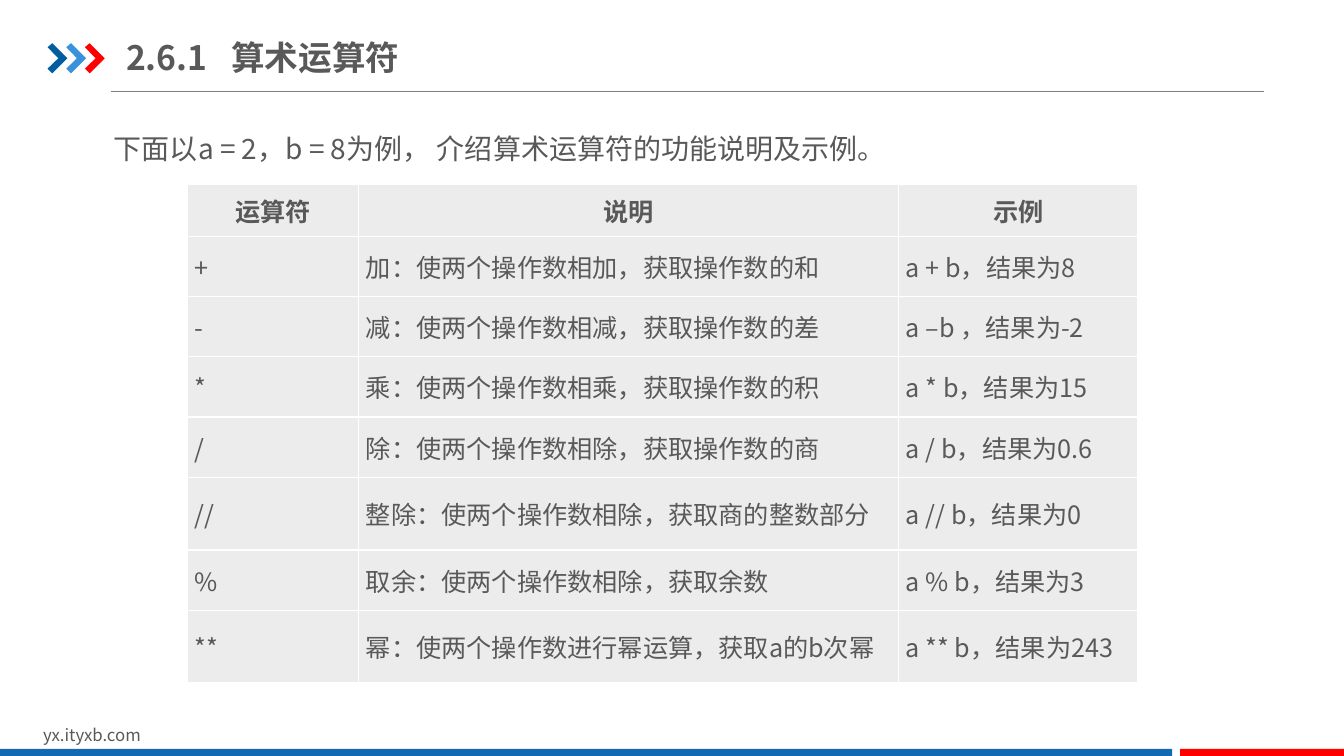
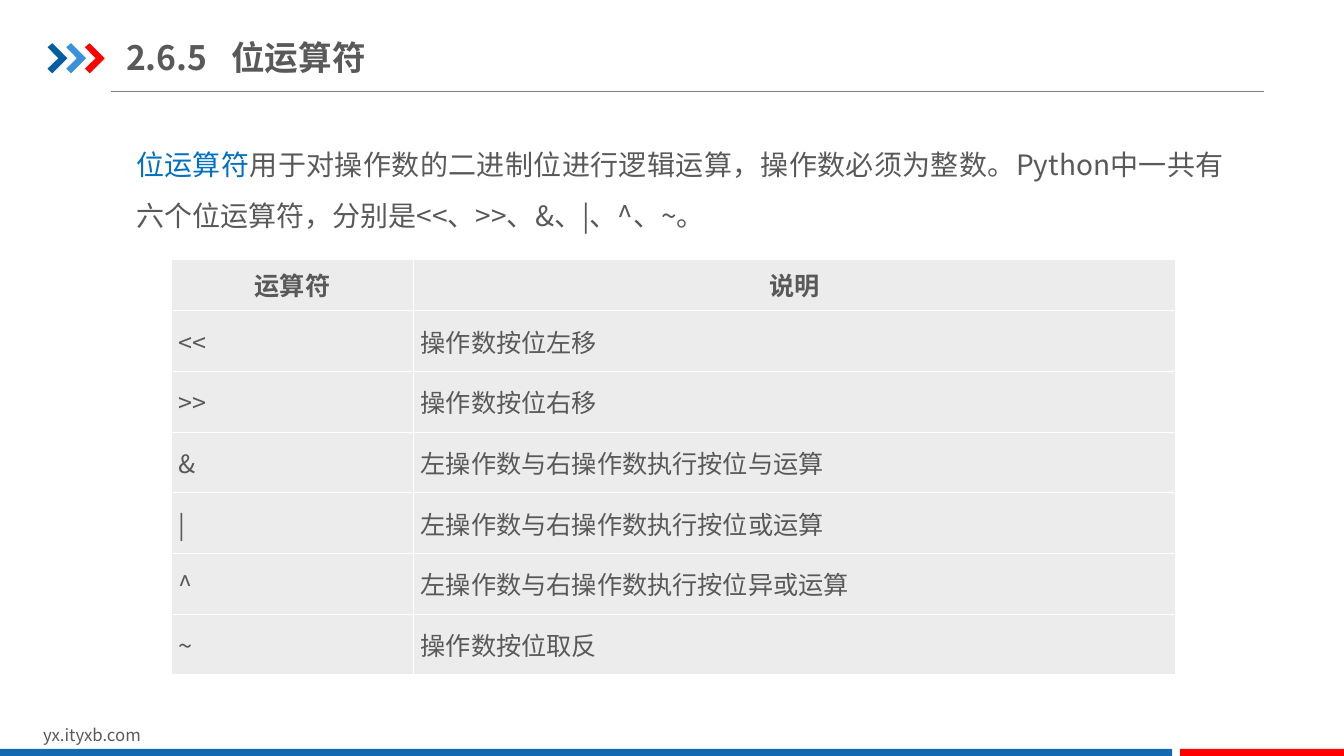
from lxml.etree import SubElement
from pptx import Presentation
from pptx.dml.color import RGBColor
from pptx.enum.shapes import MSO_CONNECTOR, MSO_SHAPE
from pptx.enum.text import MSO_ANCHOR as ANCHOR, PP_ALIGN as ALIGN
from pptx.oxml import parse_xml
from pptx.oxml.ns import nsdecls, qn
from pptx.util import Cm, Pt

# Shared look
hex_color = RGBColor.from_string
FONT = "Noto Sans CJK SC"
TEXT, HIGHLIGHT, RED = "595959", "0070C0", "FF0000"
CELL_FILL, CELL_BORDER = "ECECEC", "FFFFFF"
TITLE_FORMAT = {"size": Pt(24), "bold": True}
BODY_FORMAT = {"size": Pt(20)}
FOOTER_FORMAT = {"size": Pt(12)}
HEADER_FORMAT = {"size": Pt(18), "bold": True}
CELL_FORMAT = {"size": Pt(18), "bold": False}

CHEVRON_COLORS = ["005DA2", "3992DB", RED]
CHEVRON_POINTS = [(0, 0.1), (0.12, 0), (0.5, 0.38), (0.12, 0.76), (0, 0.64), (0.27, 0.38)]
CHEVRON_LEFT, CHEVRON_TOP, CHEVRON_PITCH = 1.2, 1.09, 0.47
BANDS = [(0, 29.54, "1369B2"), (29.74, 4.13, RED)]  # left, width, colour
BAND_TOP, BAND_HEIGHT = 18.87, 0.18

# Slide contents, lengths in centimetres
SLIDES = [
    {
        "title": "2.6.1\t算术运算符",
        "body_box": (2.54, 2.72, 29.13, 1.93),
        "body": [("下面以a = 2，b = 8为例， 介绍算术运算符的功能说明及示例。", TEXT)],
        "table_at": (4.72, 4.65),
        "columns": [4.32, 13.61, 6.02],
        "row_heights": [1.3, 1.52, 1.52, 1.52, 1.52, 1.83, 1.52, 1.83],
        "rows": [
            ("运算符", "说明", "示例"),
            ("+", "加：使两个操作数相加，获取操作数的和", "a + b，结果为8"),
            ("-", "减：使两个操作数相减，获取操作数的差", "a –b ，结果为-2"),
            ("*", "乘：使两个操作数相乘，获取操作数的积", "a * b，结果为15"),
            ("/", "除：使两个操作数相除，获取操作数的商", "a / b，结果为0.6"),
            ("//", "整除：使两个操作数相除，获取商的整数部分", "a // b，结果为0"),
            ("%", "取余：使两个操作数相除，获取余数", "a % b，结果为3"),
            ("**", "幂：使两个操作数进行幂运算，获取a的b次幂", "a ** b，结果为243"),
        ],
    },
    {
        "title": "2.6.5\t位运算符",
        "body_box": (3.1, 3.12, 28.07, 3.1),
        "body": [
            ("位运算符", HIGHLIGHT),
            ("用于对操作数的二进制位进行逻辑运算，操作数必须为整数。"
             "Python中一共有六个位运算符，分别是<<、>>、&、|、^、~。", TEXT),
        ],
        "table_at": (4.32, 6.53),
        "columns": [6.1, 19.2],
        "row_heights": [1.3] + [1.53] * 6,
        "rows": [
            ("运算符", "说明"),
            ("<<", "操作数按位左移"),
            (">>", "操作数按位右移"),
            ("&", "左操作数与右操作数执行按位与运算"),
            ("|", "左操作数与右操作数执行按位或运算"),
            ("^", "左操作数与右操作数执行按位异或运算"),
            ("~", "操作数按位取反"),
        ],
    },
]


def add_run(paragraph, text, font_format, color=TEXT):
    run = paragraph.add_run()
    run.text = text
    for name, value in {"name": FONT, **font_format}.items():
        setattr(run.font, name, value)
    run.font.color.rgb = hex_color(color)
    SubElement(run.font._element, qn("a:ea"), typeface=FONT)


def add_text_box(slide, box, frame_format):
    frame = slide.shapes.add_textbox(*map(Cm, box)).text_frame
    for name, value in {"word_wrap": True, **frame_format}.items():
        setattr(frame, name, value)
    return frame.paragraphs[0]


presentation = Presentation()
presentation.slide_width, presentation.slide_height = Cm(33.87), Cm(19.05)

for content in SLIDES:
    slide = presentation.slides.add_slide(presentation.slide_layouts[6])

    # Rule under the title
    rule = slide.shapes.add_connector(
        MSO_CONNECTOR.STRAIGHT, Cm(2.79), Cm(2.31), Cm(31.85), Cm(2.31))
    rule.line.color.rgb = hex_color("808080")
    rule.line.width = Pt(0.75)
    SubElement(rule._element.spPr, qn("a:effectLst"))

    # Chevrons before the title
    chevrons = slide.shapes.add_group_shape()
    for index, color in enumerate(CHEVRON_COLORS):
        left = CHEVRON_LEFT + index * CHEVRON_PITCH
        points = [(Cm(left + x), Cm(CHEVRON_TOP + y)) for x, y in CHEVRON_POINTS]
        builder = chevrons.shapes.build_freeform(*points[0])
        builder.add_line_segments(points[1:], close=True)
        chevron = builder.convert_to_shape()
        chevron.shadow.inherit = False
        chevron.fill.solid()
        chevron.fill.fore_color.rgb = hex_color(color)
        chevron.line.fill.background()

    # Footer address and bands
    footer = add_text_box(slide, (0.84, 18.14, 8.08, 0.76), {})
    add_run(footer, "yx.ityxb.com", FOOTER_FORMAT)
    for left, width, color in BANDS:
        band = slide.shapes.add_shape(
            MSO_SHAPE.RECTANGLE, Cm(left), Cm(BAND_TOP), Cm(width), Cm(BAND_HEIGHT))
        band.shadow.inherit = False
        band.fill.solid()
        band.fill.fore_color.rgb = hex_color(color)
        band.line.fill.background()

    # Title, with a tab stop between number and name
    title = add_text_box(slide, (3.18, 0.74, 13.56, 1.4), {
        "margin_left": 0, "margin_right": 0, "margin_top": Cm(0.18),
        "margin_bottom": Cm(0.18), "vertical_anchor": ANCHOR.MIDDLE})
    tab_list = SubElement(title._p.get_or_add_pPr(), qn("a:tabLst"))
    SubElement(tab_list, qn("a:tab"), pos=str(Cm(2.65)), algn="l")
    add_run(title, content["title"], TITLE_FORMAT)

    # Introduction
    body = add_text_box(slide, content["body_box"], {
        "margin_left": Cm(0.33), "margin_right": Cm(0.33),
        "margin_top": Cm(0.18), "margin_bottom": Cm(0.18)})
    body.alignment = ALIGN.JUSTIFY
    body.line_spacing = 1.5
    for text, color in content["body"]:
        add_run(body, text, BODY_FORMAT, color)

    # Operator table
    rows, columns, heights = content["rows"], content["columns"], content["row_heights"]
    left, top = content["table_at"]
    table = slide.shapes.add_table(
        len(rows), len(columns), Cm(left), Cm(top),
        Cm(sum(columns)), Cm(sum(heights))).table
    table.horz_banding = False
    for column, width in zip(table.columns, columns):
        column.width = Cm(width)
    for row_index, (row, height, texts) in enumerate(zip(table.rows, heights, rows)):
        row.height = Cm(height)
        for cell, text in zip(row.cells, texts):
            cell.vertical_anchor = ANCHOR.MIDDLE
            for side in ("lnL", "lnR", "lnT", "lnB"):
                cell._tc.get_or_add_tcPr().append(parse_xml(
                    f'<a:{side} {nsdecls("a")} w="{Pt(1)}"><a:solidFill>'
                    f'<a:srgbClr val="{CELL_BORDER}"/></a:solidFill></a:{side}>'))
            cell.fill.solid()
            cell.fill.fore_color.rgb = hex_color(CELL_FILL)
            paragraph = cell.text_frame.paragraphs[0]
            if row_index == 0:
                paragraph.alignment = ALIGN.CENTER
                add_run(paragraph, text, HEADER_FORMAT)
            else:
                cell.margin_left = cell.margin_right = Cm(0.18)
                cell.margin_top = cell.margin_bottom = 0
                add_run(paragraph, text, CELL_FORMAT)

presentation.save("out.pptx")
